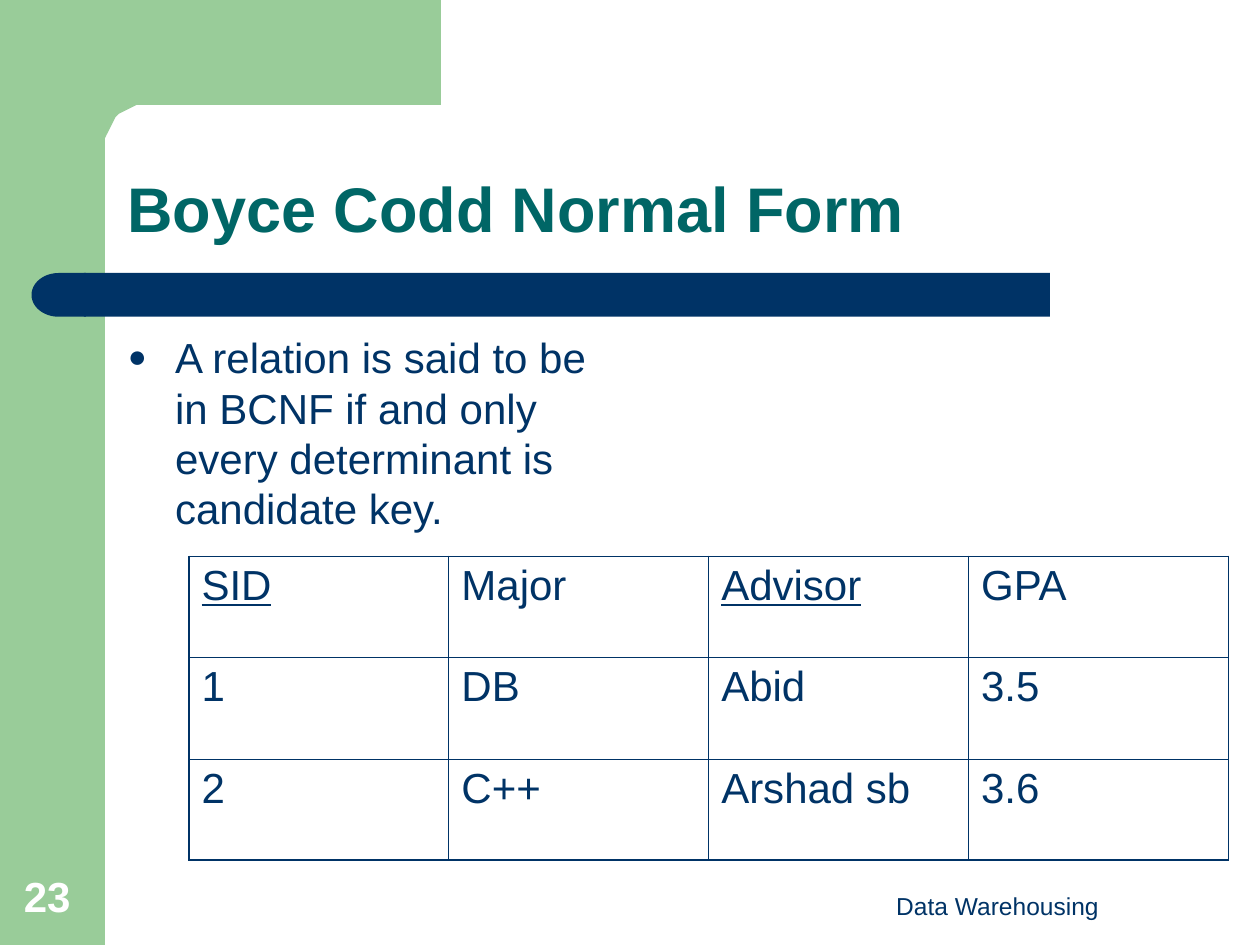
from math import cos, pi, sin

from lxml.etree import SubElement
from pptx import Presentation
from pptx.dml.color import RGBColor
from pptx.enum.shapes import MSO_SHAPE as Preset
from pptx.enum.text import MSO_ANCHOR as Anchor, PP_ALIGN as Align
from pptx.oxml.ns import qn
from pptx.util import Pt

NAVY = RGBColor(0x00, 0x33, 0x66)
TEAL = RGBColor(0x00, 0x66, 0x66)
GREEN = RGBColor(0x99, 0xCC, 0x99)
WHITE = RGBColor(0xFF, 0xFF, 0xFF)
FONT = "Arial"
THIN, THICK = 0.45, 1.08


class SlideBuilder:
    """Holds the slide being built and its text style; lengths are in points."""

    def __init__(self, slide, font, color):
        self.slide = slide
        self.font = font
        self.color = color

    def add_run(self, paragraph, text, size, color=None, bold=False, underline=False):
        run = paragraph.add_run()
        run.text = text
        run.font.name = self.font
        run.font.size = Pt(size)
        run.font.bold = bold
        run.font.underline = underline
        run.font.color.rgb = color or self.color

    def paint(self, shape, color):
        shape.shadow.inherit = False
        shape.fill.solid()
        shape.fill.fore_color.rgb = color
        shape.line.fill.background()

    def add_block(self, preset, box, color):
        shape = self.slide.shapes.add_shape(preset, *map(Pt, box))
        self.paint(shape, color)
        return shape

    def add_outline(self, points, color):
        builder = self.slide.shapes.build_freeform(*points[0], scale=Pt(1))
        builder.add_line_segments(points[1:], close=True)
        self.paint(builder.convert_to_shape(), color)

    def set_title(self, text, box, size, color):
        title = self.slide.shapes.title
        title.left, title.top, title.width, title.height = map(Pt, box)
        title.text_frame.vertical_anchor = Anchor.BOTTOM
        paragraph = title.text_frame.paragraphs[0]
        paragraph.alignment = Align.LEFT
        paragraph.line_spacing = 0.9
        self.add_run(paragraph, text, size, color, bold=True)

    def add_text(self, text, box, size, anchor=Anchor.TOP, align=Align.LEFT, **style):
        frame = self.slide.shapes.add_textbox(*map(Pt, box)).text_frame
        frame.word_wrap = True
        frame.vertical_anchor = anchor
        paragraph = frame.paragraphs[0]
        paragraph.alignment = align
        self.add_run(paragraph, text, size, **style)
        return paragraph

    def add_bullet(self, text, box, size, indent):
        paragraph = self.add_text(text, box, size)
        paragraph.space_before = Pt(6)
        properties = paragraph._p.get_or_add_pPr()
        properties.set("marL", str(Pt(indent)))
        properties.set("indent", str(-Pt(indent)))
        bullet_color = SubElement(properties, qn("a:buClr"))
        SubElement(bullet_color, qn("a:srgbClr"), val=str(self.color))
        SubElement(properties, qn("a:buSzPct"), val="75000")
        SubElement(properties, qn("a:buFont"), typeface=self.font)
        SubElement(properties, qn("a:buChar"), char="●")

    def add_border(self, cell, side, width):
        line = SubElement(cell._tc.get_or_add_tcPr(), qn(f"a:ln{side}"), w=str(Pt(width)))
        fill = SubElement(line, qn("a:solidFill"))
        SubElement(fill, qn("a:srgbClr"), val=str(self.color))

    def add_table(self, rows, box, size, underlined):
        row_count, column_count = len(rows), len(rows[0])
        frame = self.slide.shapes.add_table(row_count, column_count, *map(Pt, box))
        table = frame.table
        table.first_row = table.horz_banding = False
        for row, values in enumerate(rows):
            for column, value in enumerate(values):
                cell = table.cell(row, column)
                outer_sides = {
                    "L": column == 0,
                    "R": column == column_count - 1,
                    "T": row == 0,
                    "B": row == row_count - 1,
                }
                for side, is_outer in outer_sides.items():
                    self.add_border(cell, side, THICK if is_outer else THIN)
                cell.fill.background()
                paragraph = cell.text_frame.paragraphs[0]
                paragraph.space_before = Pt(6)
                self.add_run(paragraph, value, size, underline=value in underlined)


def corner_points():
    """Green corner whose inner edge is a quarter ellipse."""
    center_x, center_y, radius_x, radius_y = 82, 84, 22, 24
    steps = 16
    angles = [pi / 2 * step / steps for step in range(steps + 1)]
    arc = [(center_x - radius_x * sin(a), center_y - radius_y * cos(a)) for a in angles]
    return [(36, 0), (252, 0), (252, 60), *arc, (60, 92), (36, 92)]


def main():
    presentation = Presentation()
    presentation.slide_width, presentation.slide_height = Pt(720), Pt(540)
    slide = presentation.slides.add_slide(presentation.slide_layouts[5])
    builder = SlideBuilder(slide, FONT, NAVY)

    # Green frame and navy bar
    builder.add_block(Preset.RECTANGLE, (0, 0, 60, 540), GREEN)
    builder.add_outline(corner_points(), GREEN)
    builder.add_block(Preset.RECTANGLE, (48, 156, 552, 25), NAVY)
    bar_end = builder.add_block(Preset.FLOWCHART_DELAY, (18, 156, 31, 25), NAVY)
    bar_end.rotation = 180

    # Footer and slide number
    builder.add_text("Data Warehousing", (456, 492, 228, 37.5), 14, Anchor.BOTTOM, Align.CENTER)
    builder.add_text("23", (6.5, 492, 46, 38), 24, Anchor.BOTTOM, color=WHITE, bold=True)

    # Title and definition
    builder.set_title("Boyce Codd Normal Form", (65.5, 65.5, 613, 78.5), 36, TEAL)
    builder.add_bullet(
        "A relation is said to be in BCNF if and only every determinant is candidate key.",
        (66, 186, 297, 293), 24, indent=27)

    # Example relation, key columns underlined
    rows = [
        ("SID", "Major", "Advisor", "GPA"),
        ("1", "DB", "Abid", "3.5"),
        ("2", "C++", "Arshad sb", "3.6"),
    ]
    builder.add_table(rows, (108, 318, 594, 173.5), 24, underlined=("SID", "Advisor"))

    presentation.save("out.pptx")


if __name__ == "__main__":
    main()
